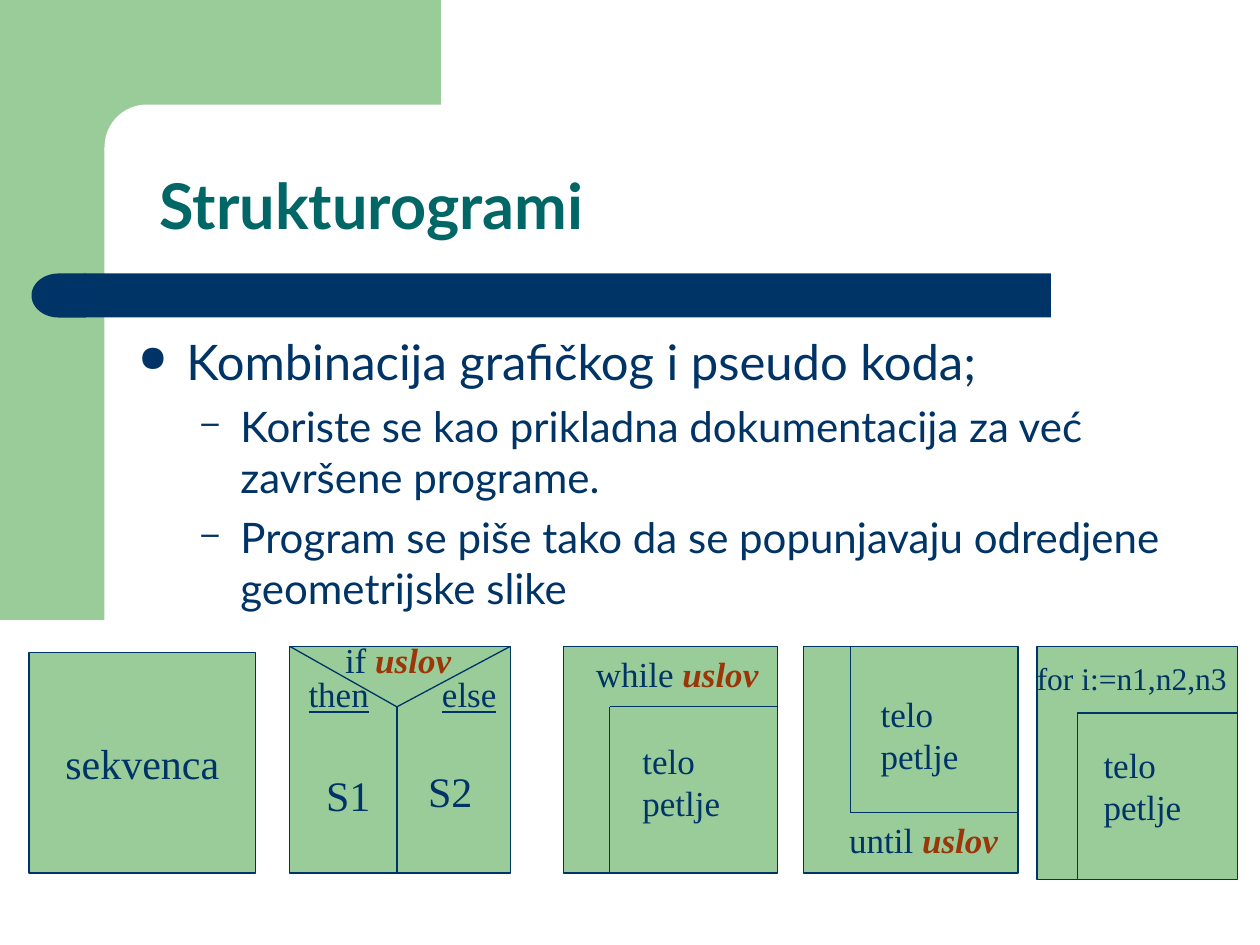
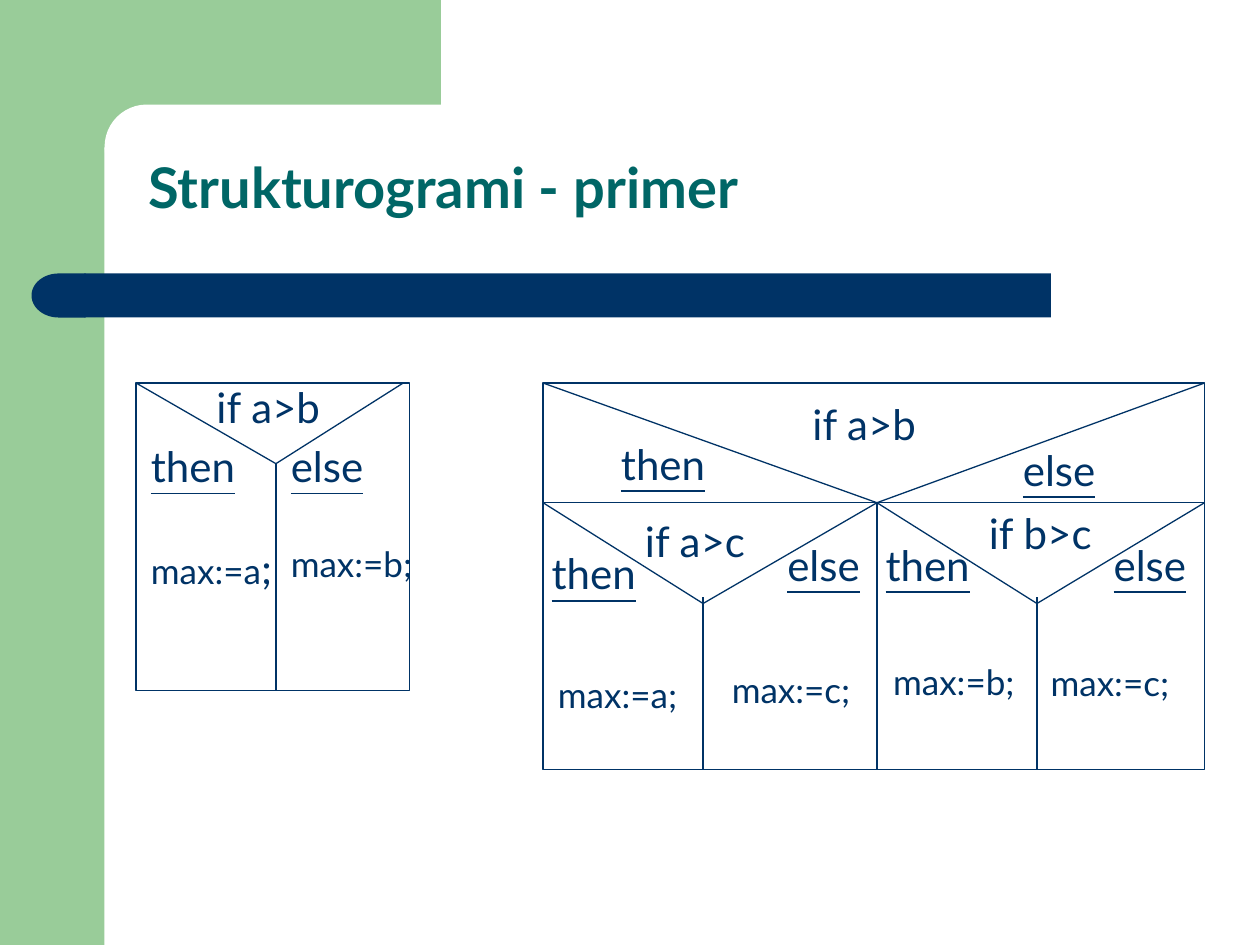
from dataclasses import dataclass
from typing import NamedTuple, Optional

from lxml import etree
from pptx import Presentation
from pptx.dml.color import RGBColor
from pptx.enum.shapes import MSO_CONNECTOR, MSO_SHAPE
from pptx.enum.text import MSO_ANCHOR, MSO_AUTO_SIZE, PP_ALIGN
from pptx.oxml.ns import qn
from pptx.util import Inches, Pt

GREEN, NAVY, TEAL, RUST, WHITE = "99CC99", "003366", "006666", "9C3608", "FFFFFF"
SANS, SERIF = "Lato", "Times New Roman"


class Box(NamedTuple):
    left: float
    top: float
    width: float
    height: float

    @property
    def right(self) -> float:
        return self.left + self.width

    @property
    def bottom(self) -> float:
        return self.top + self.height


class Point(NamedTuple):
    x: float
    y: float


class Piece(NamedTuple):
    text: str
    size: float
    color: str = NAVY
    bold: bool = False
    italic: bool = False
    underline: bool = False


@dataclass
class Label:
    box: Box
    lines: list[list[Piece]]
    wrap: bool = False
    space_before: float = 0


@dataclass
class Decision:
    """A V from the top corners to the apex, with a stem down to the bottom."""
    box: Box
    apex: Point
    top_right: Optional[float] = None
    stem_top: Optional[float] = None


@dataclass
class Loop:
    """A loop frame whose body is marked off by two lines meeting at a corner."""
    frame: Box
    corner: Point
    test_first: bool = True


def rgb(color: str) -> RGBColor:
    return RGBColor.from_string(color)


def draw_shape(slide, box: Box, fill: Optional[str], line: Optional[str] = None,
               kind=MSO_SHAPE.RECTANGLE):
    shape = slide.shapes.add_shape(kind, *map(Inches, box))
    shape.shadow.inherit = False
    if fill:
        shape.fill.solid()
        shape.fill.fore_color.rgb = rgb(fill)
    else:
        shape.fill.background()
    if line:
        shape.line.color.rgb = rgb(line)
        shape.line.width = Pt(0.75)
    else:
        shape.line.fill.background()
    return shape


def draw_line(slide, start: Point, end: Point) -> None:
    line = slide.shapes.add_connector(MSO_CONNECTOR.STRAIGHT, *map(Inches, (*start, *end)))
    line.line.color.rgb = rgb(NAVY)
    line.line.width = Pt(0.75)
    etree.SubElement(line._element.spPr, qn("a:effectLst"))


def add_piece(paragraph, piece: Piece, font: str) -> None:
    run = paragraph.add_run()
    run.text = piece.text
    run.font.name = font
    run.font.size = Pt(piece.size)
    run.font.color.rgb = rgb(piece.color)
    run.font.bold = piece.bold
    run.font.italic = piece.italic
    run.font.underline = piece.underline


def draw_label(slide, label: Label, font: str) -> None:
    frame = slide.shapes.add_textbox(*map(Inches, label.box)).text_frame
    frame.word_wrap = label.wrap
    frame.auto_size = MSO_AUTO_SIZE.SHAPE_TO_FIT_TEXT
    for index, pieces in enumerate(label.lines):
        paragraph = frame.add_paragraph() if index else frame.paragraphs[0]
        if label.space_before and (index or len(label.lines) == 1):
            paragraph.space_before = Pt(label.space_before)
        for piece in pieces:
            add_piece(paragraph, piece, font)


def draw_decision(slide, decision: Decision) -> None:
    box, apex = decision.box, decision.apex
    draw_line(slide, Point(box.left, box.top), apex)
    draw_line(slide, apex, Point(decision.top_right or box.right, box.top))
    draw_line(slide, Point(apex.x, decision.stem_top or apex.y), Point(apex.x, box.bottom))


def draw_loop(slide, loop: Loop) -> None:
    frame, corner = loop.frame, loop.corner
    draw_shape(slide, frame, GREEN, NAVY)
    draw_line(slide, corner, Point(corner.x, frame.bottom if loop.test_first else frame.top))
    draw_line(slide, corner, Point(frame.right, corner.y))


def draw_backdrop(slide) -> None:
    draw_shape(slide, Box(0, 0, 0.83, 7.5), GREEN)
    draw_shape(slide, Box(0.75, 0, 2.75, 1.17), GREEN)
    panel = draw_shape(slide, Box(0.83, 0.83, 5.58, 0.67), WHITE, kind=MSO_SHAPE.ROUNDED_RECTANGLE)
    panel.adjustments[0] = 0.5
    draw_shape(slide, Box(0.67, 2.17, 7.67, 0.35), NAVY)
    band_end = draw_shape(slide, Box(0.25, 2.17, 0.43, 0.35), NAVY, kind=MSO_SHAPE.FLOWCHART_DELAY)
    band_end.rotation = 180


def draw_title(slide, text: str, box: Box, size: float) -> None:
    frame = slide.shapes.add_textbox(*map(Inches, box)).text_frame
    frame.word_wrap = True
    frame.vertical_anchor = MSO_ANCHOR.BOTTOM
    paragraph = frame.paragraphs[0]
    paragraph.line_spacing = 0.9
    add_piece(paragraph, Piece(text, size, TEAL, bold=True), SANS)


def add_bullet(paragraph, char: str, margin: float, hanging: float) -> None:
    properties = paragraph._p.get_or_add_pPr()
    properties.set("marL", str(Inches(margin)))
    properties.set("indent", str(-Inches(hanging)))
    color = etree.SubElement(properties, qn("a:buClr"))
    etree.SubElement(color, qn("a:srgbClr"), val=NAVY)
    etree.SubElement(properties, qn("a:buSzPct"), val="75000")
    etree.SubElement(properties, qn("a:buChar"), char=char)


def draw_points(slide, box: Box, points: list[tuple[int, str]]) -> None:
    frame = slide.shapes.add_textbox(*map(Inches, box)).text_frame
    frame.word_wrap = True
    for index, (level, text) in enumerate(points):
        paragraph = frame.add_paragraph() if index else frame.paragraphs[0]
        paragraph.level = level
        paragraph.space_before = Pt(6 if level else 7)
        if level:
            add_bullet(paragraph, "–", 0.81, 0.31)
        else:
            add_bullet(paragraph, "●", 0.38, 0.38)
        add_piece(paragraph, Piece(text, 24 if level else 28), SANS)


def keyword(text: str, size: float) -> list[Piece]:
    return [Piece(text, size, underline=True)]


def condition(word: str) -> list[Piece]:
    return [Piece(word + " ", 20), Piece("uslov", 20, RUST, bold=True, italic=True)]


def loop_body(left: float, top: float) -> Label:
    return Label(Box(left, top, 0.98, 0.77), [[Piece("telo petlje", 20)]], True, 12.5)


def build_overview(slide) -> None:
    draw_backdrop(slide)
    draw_shape(slide, Box(0, 4.93, 9.98, 2.57), WHITE, WHITE)
    draw_title(slide, "Strukturogrami", Box(1.17, 1.16, 8.5, 0.82), 36)
    draw_points(slide, Box(1, 2.58, 8.75, 4.08), [
        (0, "Kombinacija grafičkog i pseudo koda;"),
        (1, "Koriste se kao prikladna dokumentacija za već završene programe."),
        (1, "Program se piše tako da se popunjavaju odredjene geometrijske slike"),
    ])

    sequence = draw_shape(slide, Box(0.23, 5.18, 1.8, 1.75), GREEN, NAVY).text_frame
    sequence.word_wrap = False
    sequence.vertical_anchor = MSO_ANCHOR.MIDDLE
    sequence.paragraphs[0].alignment = PP_ALIGN.CENTER
    add_piece(sequence.paragraphs[0], Piece("sekvenca", 24), SERIF)

    branch = Box(2.3, 5.13, 1.75, 1.8)
    draw_shape(slide, branch, GREEN, NAVY)
    draw_decision(slide, Decision(branch, Point(3.15, 5.61)))

    for loop in (
        Loop(Box(4.47, 5.13, 1.7, 1.8), Point(4.84, 5.61)),
        Loop(Box(6.38, 5.13, 1.7, 1.8), Point(6.75, 6.45), test_first=False),
        Loop(Box(8.23, 5.13, 1.59, 1.85), Point(8.55, 5.66)),
    ):
        draw_loop(slide, loop)

    for label in (
        Label(Box(2.64, 5.02, 1.04, 0.44), [condition("if")]),
        Label(Box(2.35, 5.29, 0.68, 0.44), [keyword("then", 20)]),
        Label(Box(3.41, 5.29, 0.63, 0.44), [keyword("else", 20)]),
        Label(Box(2.49, 6.06, 0.6, 0.5), [[Piece("S1", 24)]], True, 15),
        Label(Box(3.3, 6.03, 0.63, 0.5), [[Piece("S2", 24)]], True),
        Label(Box(4.63, 5.13, 1.49, 0.44), [condition("while")]),
        Label(Box(6.64, 6.45, 1.38, 0.44), [condition("until")]),
        Label(Box(8.13, 5.18, 1.71, 0.4), [[Piece("for i:=n1,n2,n3", 18)]]),
        loop_body(5, 5.82),
        loop_body(6.89, 5.45),
        loop_body(8.66, 5.85),
    ):
        draw_label(slide, label, SERIF)


def build_example(slide) -> None:
    draw_backdrop(slide)
    draw_title(slide, "Strukturogrami - primer", Box(1.08, 1.19, 8.5, 0.61), 32)

    max_of_two = Box(1.08, 3.04, 2.17, 2.44)
    max_of_three = Box(4.31, 3.04, 5.25, 3.07)
    for frame in (max_of_two, max_of_three):
        draw_shape(slide, frame, None, NAVY)

    split = Point(6.96, 3.99)
    inner_height = max_of_three.bottom - split.y
    left_half = Box(max_of_three.left, split.y, split.x - max_of_three.left, inner_height)
    right_half = Box(split.x, split.y, max_of_three.right - split.x, inner_height)
    draw_line(slide, Point(max_of_three.right, split.y), Point(max_of_three.left, split.y))
    for decision in (
        Decision(max_of_two, Point(2.19, 3.68), top_right=3.2),
        Decision(max_of_three, split),
        Decision(left_half, Point(5.58, 4.79), stem_top=4.74),
        Decision(right_half, Point(8.23, 4.79), stem_top=4.74),
    ):
        draw_decision(slide, decision)

    for label in (
        Label(Box(1.1, 3.45, 1.24, 1.3),
              [keyword("then", 24), [Piece("max:=a", 20), Piece(";", 24)]], space_before=29),
        Label(Box(2.21, 3.45, 1.24, 1.24),
              [keyword("else", 24), [Piece("max:=b;", 20)]], space_before=29),
    ):
        draw_label(slide, label, SANS)

    for text, left, top, width in (
        ("if a>b", 1.62, 2.98, 1.07), ("if a>b", 6.35, 3.11, 1.07),
        ("if a>c", 5.02, 4.04, 1.02), ("if b>c", 7.75, 3.98, 1.04),
    ):
        draw_label(slide, Label(Box(left, top, width, 0.5), [[Piece(text, 24)]]), SANS)

    for text, left, top in (
        ("then", 4.83, 3.43), ("else", 8.02, 3.48),
        ("then", 4.28, 4.3), ("else", 6.15, 4.23),
        ("then", 6.93, 4.23), ("else", 8.74, 4.23),
    ):
        width = 0.92 if text == "then" else 0.82
        draw_label(slide, Label(Box(left, top, width, 0.5), [keyword(text, 24)]), SANS)

    for text, left, top, width in (
        ("max:=a;", 4.33, 5.3, 1.23), ("max:=c;", 5.71, 5.26, 1.2),
        ("max:=b;", 6.99, 5.19, 1.24), ("max:=c;", 8.24, 5.2, 1.2),
    ):
        draw_label(slide, Label(Box(left, top, width, 0.44), [[Piece(text, 20)]]), SANS)


def main() -> None:
    deck = Presentation()
    deck.slide_width, deck.slide_height = Inches(10), Inches(7.5)
    for build in (build_overview, build_example):
        build(deck.slides.add_slide(deck.slide_layouts[6]))
    deck.save("out.pptx")


if __name__ == "__main__":
    main()
